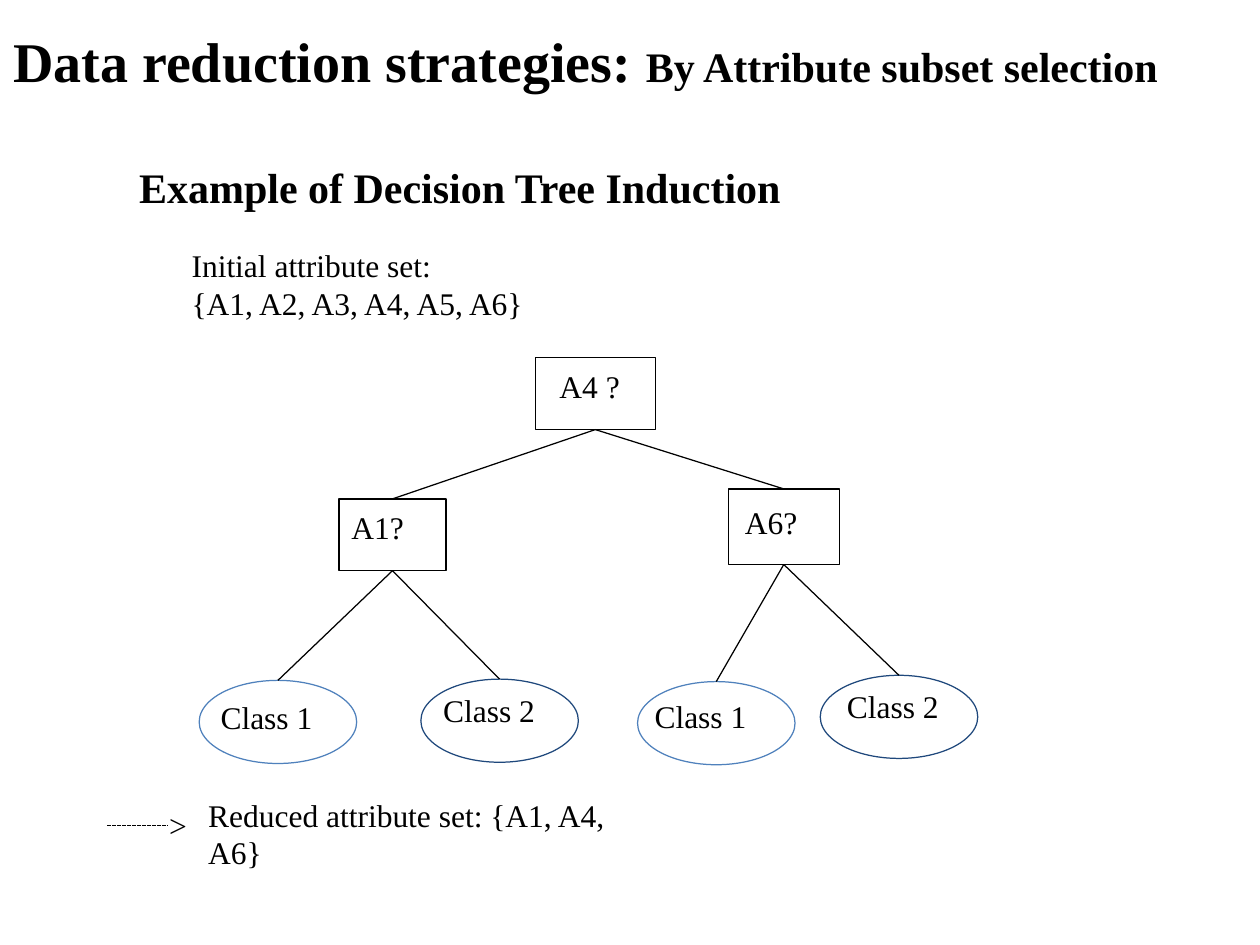
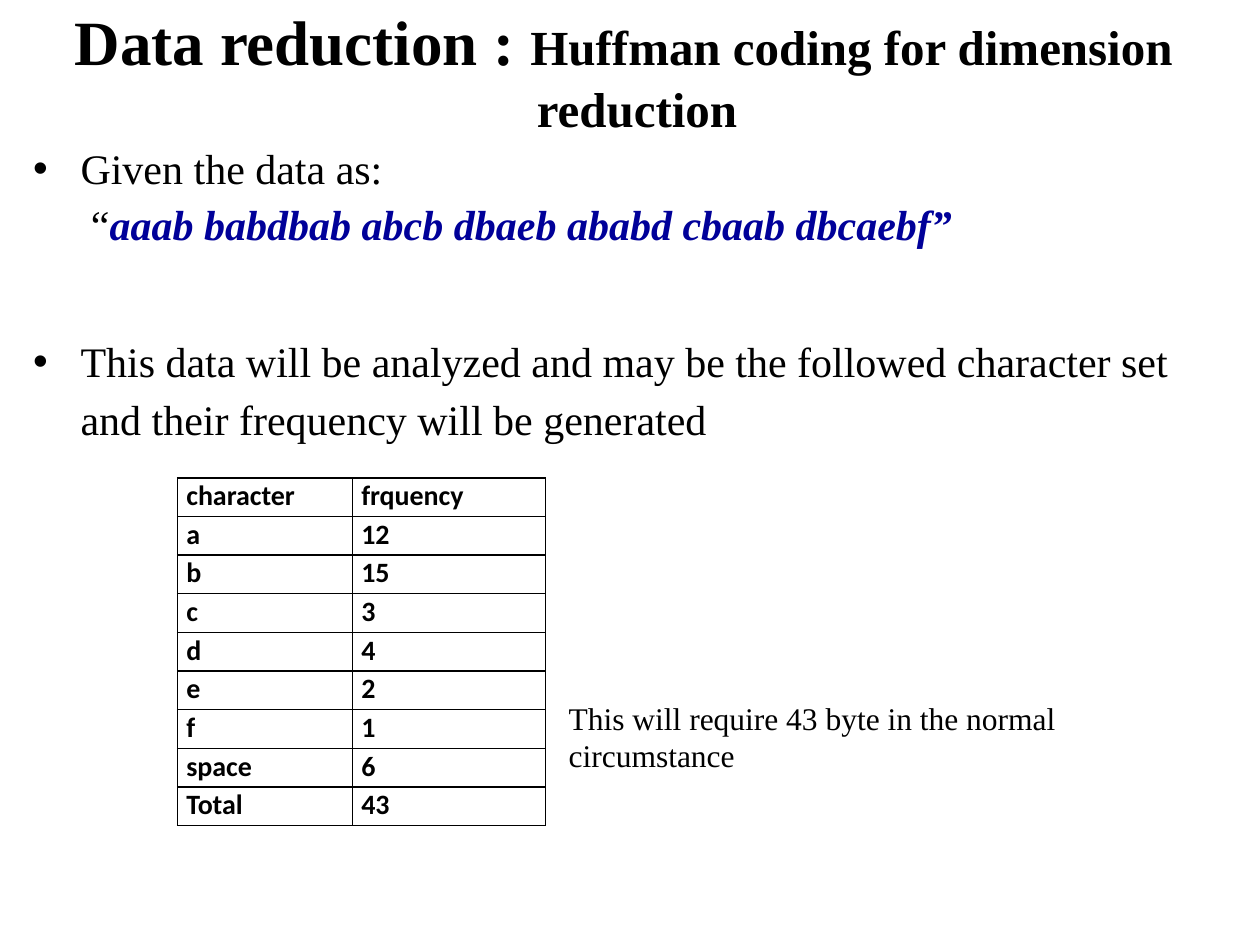
import dataclasses

import pptx
import pptx.dml.color
import pptx.enum.dml
import pptx.enum.shapes
import pptx.enum.text
import pptx.oxml.ns
import pptx.util
from lxml import etree

Pt = pptx.util.Pt
Shape = pptx.enum.shapes.MSO_SHAPE
Align = pptx.enum.text.PP_ALIGN
Anchor = pptx.enum.text.MSO_ANCHOR
qn = pptx.oxml.ns.qn


@dataclasses.dataclass(frozen=True)
class Theme:
    # Colours
    ink: str = "000000"
    quote: str = "000099"
    light: str = "4F81BC"
    dark: str = "1F487C"
    # Fonts and type sizes
    serif: str = "Times New Roman"
    sans: str = "Calibri"
    large: float = 36
    title: float = 32
    sub: float = 28
    head: float = 24
    body: float = 18
    cell: float = 16
    # Line widths
    line: float = 0.72
    grid: float = 1


def rgb(code):
    return pptx.dml.color.RGBColor.from_string(code)


class Deck:
    def __init__(self, theme):
        self.theme = theme
        self.file = pptx.Presentation()
        self.file.slide_width, self.file.slide_height = Pt(720), Pt(540)
        self.slide = None

    def run(self, para, text, size, font=None, color=None, bold=False, slant=False):
        run = para.add_run()
        run.text = text
        run.font.name = font or self.theme.serif
        run.font.size = Pt(size)
        run.font.color.rgb = rgb(color or self.theme.ink)
        run.font.bold, run.font.italic = bold, slant

    def frame(self, shape, left=0, top=1, right=0, anchor=Anchor.TOP, wrap=True):
        frame = shape.text_frame
        frame.margin_left, frame.margin_top = Pt(left), Pt(top)
        frame.margin_right, frame.margin_bottom = Pt(right), 0
        frame.vertical_anchor = anchor
        frame.word_wrap = wrap
        return frame

    def para(self, frame, left=0, hang=0, before=0, bullet=False, first=False):
        para = frame.paragraphs[0] if first else frame.add_paragraph()
        para.alignment = Align.LEFT
        para.space_before = Pt(before)
        props = para._p.get_or_add_pPr()
        props.set("marL", str(Pt(left)))
        props.set("indent", str(Pt(-hang)))
        if bullet:
            etree.SubElement(props, qn("a:buFont")).set("typeface", "Arial")
            etree.SubElement(props, qn("a:buChar")).set("char", "•")
        return para

    def title(self, box, main, rest, sizes, hang=0):
        """Start a slide whose title has a large and a small part."""
        self.slide = self.file.slides.add_slide(self.file.slide_layouts[5])
        shape = self.slide.shapes.title
        shape.left, shape.top, shape.width, shape.height = map(Pt, box)
        frame = self.frame(shape, left=1, anchor=Anchor.MIDDLE)
        para = self.para(frame, hang, hang, first=True)
        for text, size in zip((main, rest), sizes):
            self.run(para, text, size, bold=True)

    def box(self, *place):
        return self.frame(self.slide.shapes.add_textbox(*map(Pt, place)))

    def note(self, text, *place):
        para = self.para(self.box(*place), left=1, first=True)
        self.run(para, text, self.theme.body)

    def node(self, kind, place, text, color, align=Align.LEFT, **inset):
        shape = self.slide.shapes.add_shape(kind, *map(Pt, place))
        shape.shadow.inherit = False
        shape.fill.background()
        shape.line.color.rgb = rgb(color)
        shape.line.width = Pt(self.theme.line)
        para = self.para(self.frame(shape, wrap=False, **inset), first=True)
        para.alignment = align
        self.run(para, text, self.theme.body)
        return shape

    def line(self, x1=0, y1=0, x2=0, y2=0, dash=False):
        kind = pptx.enum.shapes.MSO_CONNECTOR.STRAIGHT
        line = self.slide.shapes.add_connector(kind, Pt(x1), Pt(y1), Pt(x2), Pt(y2))
        line.line.color.rgb = rgb(self.theme.ink)
        line.line.width = Pt(self.theme.line)
        if dash:
            line.line.dash_style = pptx.enum.dml.MSO_LINE.SQUARE_DOT
        etree.SubElement(line._element.spPr, qn("a:effectLst"))
        return line

    def link(self, above, below):
        line = self.line()
        line.begin_connect(above, 2)
        line.end_connect(below, 0)

    def edge(self, cell):
        props = cell._tc.get_or_add_tcPr()
        for at, side in enumerate(("lnL", "lnR", "lnT", "lnB")):
            line = etree.Element(qn("a:" + side), w=str(Pt(self.theme.grid)))
            fill = etree.SubElement(line, qn("a:solidFill"))
            etree.SubElement(fill, qn("a:srgbClr")).set("val", self.theme.ink)
            props.insert(at, line)

    def table(self, left, top, widths, height, rows):
        size = (sum(widths), height * len(rows))
        table = self.slide.shapes.add_table(
            len(rows), len(widths), Pt(left), Pt(top), *map(Pt, size)).table
        table.first_row = table.horz_banding = False
        for col, width in zip(table.columns, widths):
            col.width = Pt(width)
        for r, row in enumerate(rows):
            table.rows[r].height = Pt(height)
            for c, text in enumerate(row):
                cell = table.cell(r, c)
                cell.fill.background()
                cell.margin_left, cell.margin_top = Pt(5), Pt(0.7)
                cell.margin_right = cell.margin_bottom = 0
                para = cell.text_frame.paragraphs[0]
                self.run(para, text, self.theme.cell, self.theme.sans, bold=True)
                self.edge(cell)


def tree(deck):
    theme = deck.theme
    deck.title((6.5, 13.7, 670, 40.3), "Data reduction strategies: ",
               "By Attribute subset selection", (theme.title, theme.head))

    # Heading and first set
    frame = deck.box(78.5, 91.4, 369, 94)
    para = deck.para(frame, left=1, first=True)
    deck.run(para, "Example of Decision Tree Induction", theme.head, bold=True)
    for text, gap in (("Initial attribute set:", 19.4), ("{A1, A2, A3, A4, A5, A6}", 0)):
        deck.run(deck.para(frame, left=31, before=gap), text, theme.body)

    # Tests: text, place, left and top inset
    tests = [
        ("A4 ?", (306, 204.5, 68.4, 41), 13.7, 5),
        ("A1?", (193.7, 285.1, 61.2, 41), 7.2, 5),
        ("A6?", (416.2, 279.4, 63.4, 43.2), 9.4, 8),
    ]
    # An unwrapped line is centred, so the right inset balances the left one
    text_w = {"A4 ?": 34.5, "A1?": 30, "A6?": 30}
    root, *forks = [
        deck.node(Shape.RECTANGLE, place, text, theme.ink, left=left, top=top,
                  right=place[2] - left - text_w[text])
        for text, place, left, top in tests]

    # Classes: left, top, top inset, right inset; two under each fork
    leaves = [(113.8, 388.8, 3, 13), (240.5, 388.1, 0, 12),
              (364.3, 389.5, 2, 18), (468.7, 385.9, 0, 7)]
    for at, (left, top, drop, right) in enumerate(leaves):
        side = at % 2
        leaf = deck.node(Shape.OVAL, (left, top, 90, 47.5), f"Class {side + 1}",
                         (theme.light, theme.dark)[side], Align.CENTER,
                         top=drop, right=right)
        deck.link(forks[at // 2], leaf)
    for fork in forks:
        deck.link(root, fork)

    # Result
    deck.line(61.3, 471.6, 95.6, 471.6, dash=True)
    deck.note(">", 95.6, 459.4, 14, 24)
    deck.note("Reduced attribute set: {A1, A4, A6}", 118, 453.6, 250, 46)


def code(deck):
    theme = deck.theme
    deck.title((41.8, 0, 632, 79.2), "Data reduction : ",
               "Huffman coding for dimension reduction",
               (theme.large, theme.sub), hang=264)

    # Points
    frame = deck.box(18, 80.4, 655, 172)
    para = deck.para(frame, 28, 27, bullet=True, first=True)
    deck.run(para, "Given the data as:", theme.head)
    para = deck.para(frame, 34, before=3.5)
    deck.run(para, "“", theme.head)
    deck.run(para, "aaab babdbab abcb dbaeb ababd cbaab dbcaebf”", theme.head,
             color=theme.quote, bold=True, slant=True)
    para = deck.para(frame, 28, 27, before=45, bullet=True)
    para.line_spacing = 1.15
    deck.run(para, "This data will be analyzed and may be the followed character set "
             "and their frequency will be generated", theme.head)

    # Counts
    count = {"a": 12, "b": 15, "c": 3, "d": 4, "e": 2, "f": 1, "space": 6}
    rows = [("character", "frquency")]
    rows += [(key, str(num)) for key, num in count.items()]
    rows.append(("Total", str(sum(count.values()))))
    deck.table(101.5, 273, (100, 110.2), 22.1, rows)
    deck.note("This will require 43 byte in the normal circumstance",
              324, 398.2, 288, 45.4)


def main():
    deck = Deck(Theme())
    tree(deck)
    code(deck)
    deck.file.save("out.pptx")


if __name__ == "__main__":
    main()
